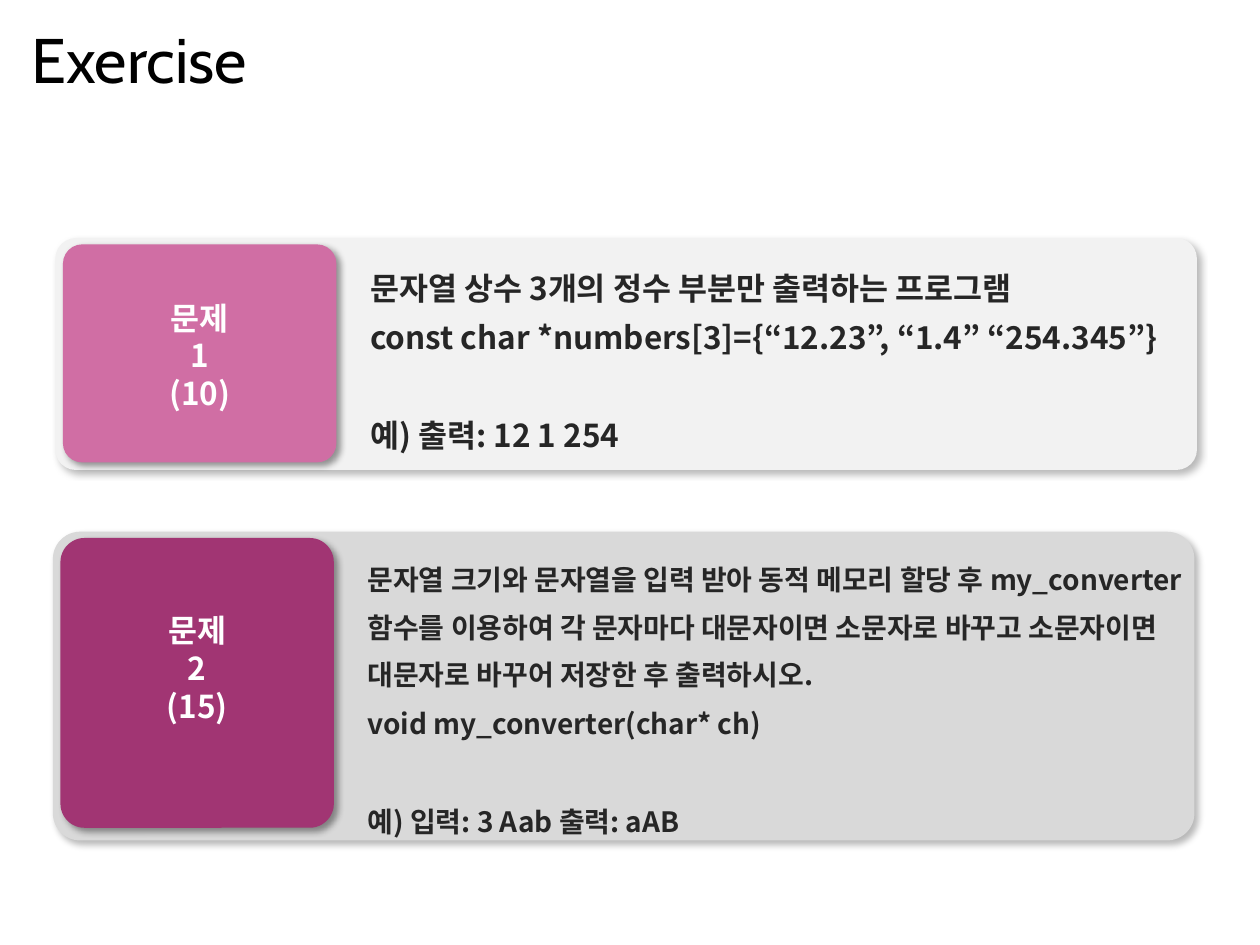
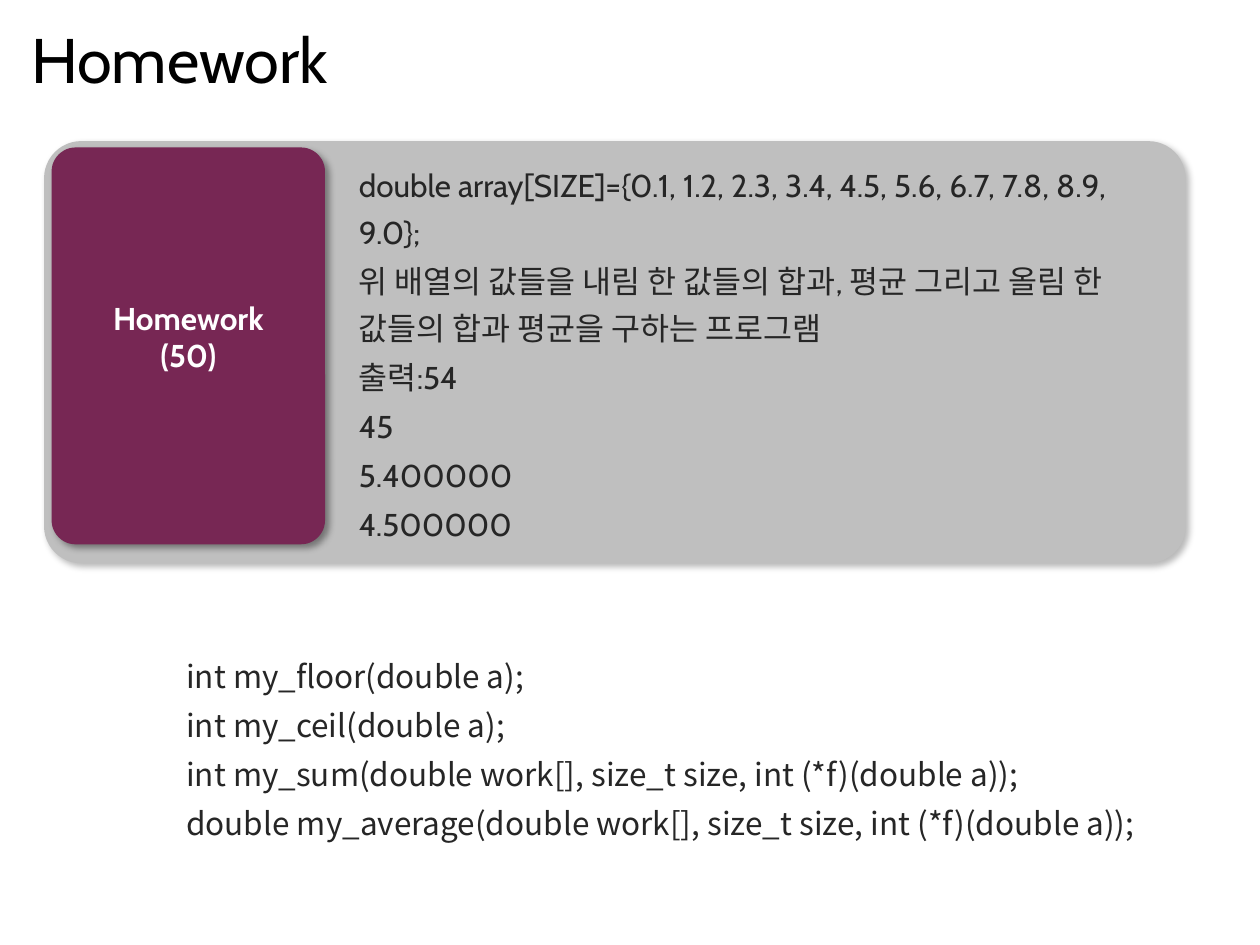
import dataclasses
import pptx
import pptx.dml.color
import pptx.enum.shapes
import pptx.enum.text
import pptx.oxml
import pptx.oxml.ns
import pptx.util

Align = pptx.enum.text.PP_ALIGN
Anchor = pptx.enum.text.MSO_ANCHOR
AutoSize = pptx.enum.text.MSO_AUTO_SIZE


@dataclasses.dataclass(frozen=True)
class Theme:
    latin: str = "Cabin"
    korean: str = "Noto Sans CJK KR"
    black: str = "000000"
    body: str = "262626"
    white: str = "FFFFFF"
    pale: str = "F2F2F2"
    light: str = "D9D9D9"
    silver: str = "BFBFBF"
    pink: str = "D06EA4"
    magenta: str = "A13573"
    plum: str = "772754"
    title_size: int = 36
    text_size: int = 18
    small_size: int = 16
    line_pitch: int = 27
    line_gap: int = 1


theme = Theme()
presentation = pptx.Presentation()
presentation.slide_width = pptx.util.Inches(10)
presentation.slide_height = pptx.util.Inches(7.5)

# The slide is a grid of 100 columns and 75 rows of square cells.
cell = presentation.slide_width / 100
CARD_WIDTH, BADGE_WIDTH, TEXT_WIDTH = 90.6, 21.7, 66.6
BADGE_INSET_X, BADGE_INSET_Y, TEXT_OFFSET = 0.6, 0.5, 24


def add_rounded(slide, left, top, width, height, color, shadow_opacity):
    shape = slide.shapes.add_shape(
        pptx.enum.shapes.MSO_SHAPE.ROUNDED_RECTANGLE,
        *(round(length * cell) for length in (left, top, width, height)))
    shape.adjustments[0] = 0.088
    shape.fill.solid()
    shape.fill.fore_color.rgb = pptx.dml.color.RGBColor.from_string(color)
    shape.line.fill.background()
    shape.shadow.inherit = False
    effects = shape._element.spPr.find(pptx.oxml.ns.qn("a:effectLst"))
    effects.append(pptx.oxml.parse_xml(
        f'<a:outerShdw {pptx.oxml.ns.nsdecls("a")} blurRad="50800" dist="38100" '
        'dir="2700000" algn="tl" rotWithShape="0"><a:srgbClr val="000000">'
        f'<a:alpha val="{shadow_opacity * 1000}"/></a:srgbClr></a:outerShdw>'))


def add_text(slide, left, top, width, height, lines, font, size, color,
             bold=False, align=Align.LEFT, spaced=True):
    """Add one paragraph per line; a spaced example line has an empty line's room above."""
    shape = slide.shapes.add_textbox(
        *(round(length * cell) for length in (left, top, width, height)))
    text_frame = shape.text_frame
    text_frame.word_wrap = True
    text_frame.text = "\n".join(lines)
    for paragraph in text_frame.paragraphs:
        paragraph.alignment = align
        if spaced:
            paragraph.line_spacing = pptx.util.Pt(theme.line_pitch)
            gap = theme.line_gap
            if paragraph.text.startswith("예)"):
                gap += theme.line_pitch + theme.line_gap
            paragraph.space_before = pptx.util.Pt(gap)
        for run in paragraph.runs:
            run.font.name = font
            run.font.size = pptx.util.Pt(size)
            run.font.bold = bold
            run.font.color.rgb = pptx.dml.color.RGBColor.from_string(color)
            run.font._element.find(pptx.oxml.ns.qn("a:latin")).addnext(
                pptx.oxml.parse_xml(f'<a:ea {pptx.oxml.ns.nsdecls("a")} '
                                    f'typeface="{theme.korean}"/>'))
    return text_frame


# Each card: left, top, height, badge height, card and badge colours,
# label top, label lines, label font, text inset, text lines, text size, bold.
slides = {
    "Exercise": [
        (4.4, 18.9, 18.4, 17.3, theme.pale, theme.pink,
         23.2, ["문제\v1", "(10)"], theme.korean, 1.2,
         ["문자열 상수 3개의 정수 부분만 출력하는 프로그램",
          "const char *numbers[3]={“12.23”, “1.4” “254.345”}",
          "예) 출력: 12 1 254"],
         theme.text_size, True),
        (4.2, 42.2, 24.5, 23, theme.light, theme.magenta,
         48, ["문제\v2", "(15)"], theme.korean, 0.9,
         ["문자열 크기와 문자열을 입력 받아 동적 메모리 할당 후 my_converter 함수를 "
          "이용하여 각 문자마다 대문자이면 소문자로 바꾸고 소문자이면 대문자로 바꾸어 "
          "저장한 후 출력하시오.",
          "void my_converter(char* ch)",
          "예) 입력: 3 Aab 출력: aAB"],
         theme.small_size, True),
    ],
    "Homework": [
        (3.5, 11.2, 33.5, 31.5, theme.silver, theme.plum,
         23.2, ["Homework", "(50)"], theme.latin, 0.7,
         ["double array[SIZE]={0.1, 1.2, 2.3, 3.4, 4.5, 5.6, 6.7, 7.8, 8.9, 9.0};",
          "위 배열의 값들을 내림 한 값들의 합과, 평균 그리고 올림 한 값들의 합과 "
          "평균을 구하는 프로그램",
          "출력:54", "45", "5.400000", "4.500000"],
         theme.text_size, False),
    ],
}

for title, cards in slides.items():
    slide = presentation.slides.add_slide(presentation.slide_layouts[6])
    title_frame = add_text(slide, 1.5, 1.2, 90, 6.9, [title], theme.latin,
                           theme.title_size, theme.black, spaced=False)
    title_frame.vertical_anchor = Anchor.MIDDLE

    for (left, top, height, badge_height, card_color, badge_color, label_top,
         label, label_font, text_inset, lines, size, bold) in cards:
        badge_left = left + BADGE_INSET_X
        add_rounded(slide, left, top, CARD_WIDTH, height, card_color, 27)
        add_rounded(slide, badge_left, top + BADGE_INSET_Y, BADGE_WIDTH,
                    badge_height, badge_color, 40)
        add_text(slide, badge_left, label_top, BADGE_WIDTH, 7.1, label, label_font,
                 theme.text_size, theme.white, True, Align.CENTER, spaced=False)
        text_font = theme.korean if bold else theme.latin
        text_frame = add_text(slide, left + TEXT_OFFSET, top + text_inset, TEXT_WIDTH,
                              height - 2 * text_inset, lines, text_font, size,
                              theme.body, bold)
        text_frame.auto_size = AutoSize.SHAPE_TO_FIT_TEXT

prototypes = ["int my_floor(double a);",
              "int my_ceil(double a);",
              "int my_sum(double work[], size_t size, int (*f)(double a));",
              "double my_average(double work[], size_t size, int (*f)(double a));"]
add_text(slide, 13.8, 50.9, 79.2, 16.6, prototypes, theme.korean,
         theme.text_size, theme.body)

presentation.save("out.pptx")
